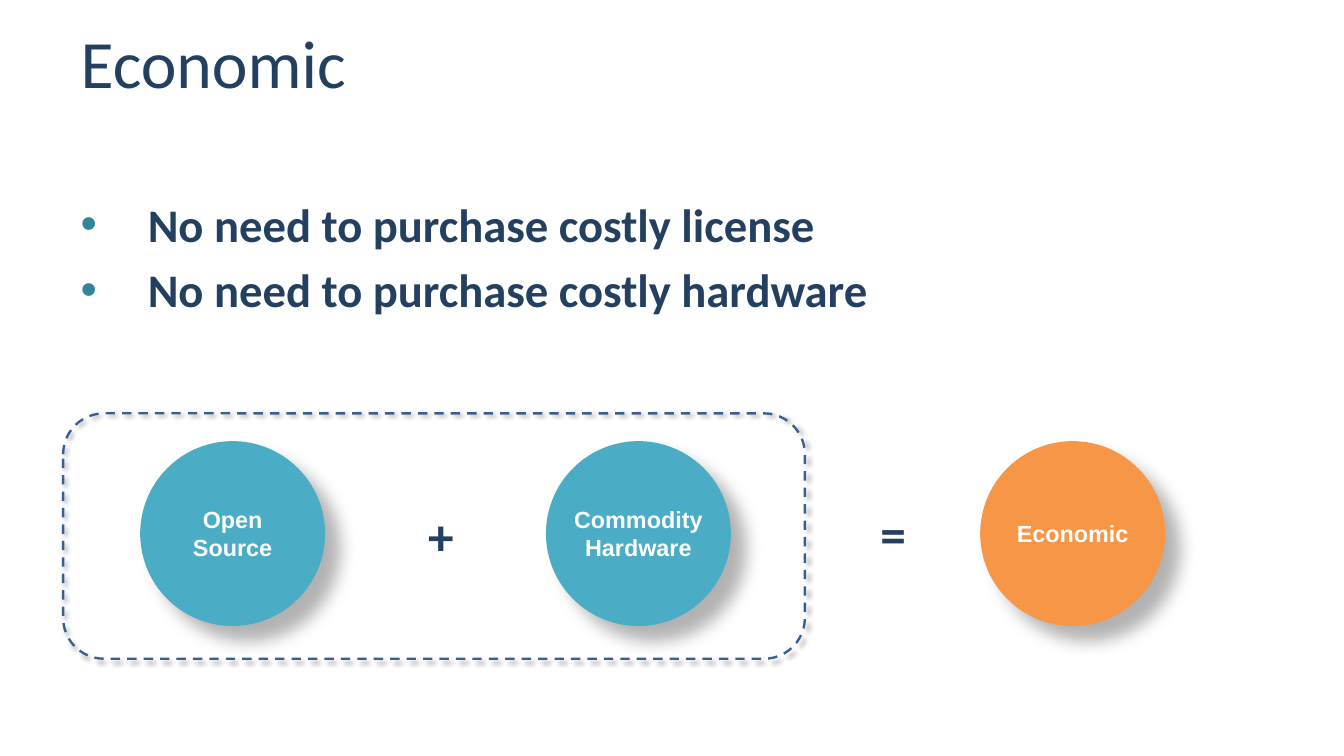
from pptx import Presentation, util as u
from pptx.dml.color import RGBColor
from pptx.enum import dml, shapes, text
from pptx.oxml import parse_xml
from pptx.oxml.ns import nsdecls

NAVY, TEAL, ORANGE = "244061", "4BACC6", "F79646"


def style(item, size, name, color, bold=True):
    font = item.font
    font.size, font.name, font.bold = u.Pt(size), name, bold
    font.color.rgb = RGBColor.from_string(color)


def shade(shape, alpha, blur, dist):
    shape._element.spPr.append(parse_xml(
        f'<a:effectLst {nsdecls("a")}><a:outerShdw blurRad="{u.Pt(blur)}" '
        f'dist="{u.Pt(dist)}" dir="2700000" algn="tl" rotWithShape="0">'
        f'<a:srgbClr val="000000"><a:alpha val="{alpha * 1000}"/></a:srgbClr>'
        '</a:outerShdw></a:effectLst>'))


deck = Presentation()
deck.slide_width, deck.slide_height = u.Cm(40.64), u.Cm(22.86)
slide = deck.slides.add_slide(deck.slide_layouts[5])
parts = slide.shapes

# Dashed frame around the two inputs
frame = parts.add_shape(shapes.MSO_SHAPE.ROUNDED_RECTANGLE,
                        u.Cm(1.91), u.Cm(12.5), u.Cm(22.43), u.Cm(7.42))
frame.fill.background()
frame.line.color.rgb = RGBColor.from_string("366092")
frame.line.width = u.Pt(2)
frame.line.dash_style = dml.MSO_LINE.DASH
shade(frame, 40, 4, 3)

# Title
title = parts.title
title.left, title.top = u.Cm(2.03), u.Cm(0.43)
title.width, title.height = u.Cm(36.58), u.Cm(2.87)
title.text = "Economic"

# Bullet list
body = parts.add_textbox(u.Cm(2.03), u.Cm(5.72), u.Cm(29.08), u.Cm(6.78))
for box in (title, body):
    frm = box.text_frame
    frm.word_wrap = True
    frm.margin_left = frm.margin_right = u.Cm(0.41)
    frm.margin_top = frm.margin_bottom = u.Cm(0.2)
title.text_frame.vertical_anchor = text.MSO_ANCHOR.MIDDLE
head = title.text_frame.paragraphs[0]
head.alignment = text.PP_ALIGN.LEFT
style(head, 58, "Calibri", NAVY, False)

body.text_frame.text = ("No need to purchase costly license\n"
                        "No need to purchase costly hardware")
for i, para in enumerate(body.text_frame.paragraphs):
    style(para, 40, "Calibri", NAVY)
    para.space_before = u.Pt(8 * i)
    props = para._p.get_or_add_pPr()
    props.set("marL", str(u.Cm(2.03)))
    props.set("indent", str(-u.Cm(2.03)))
    for xml in ('<a:buClr {}><a:srgbClr val="31859B"/></a:buClr>',
                '<a:buFont {} typeface="Arial"/>',
                '<a:buChar {} char="•"/>'):
        props.insert_element_before(parse_xml(xml.format(nsdecls("a"))),
                                    "a:tabLst", "a:defRPr", "a:extLst")

# Circles of the equation
for label, left, color in (("Economic", 29.64, ORANGE),
                           ("Open Source", 4.24, TEAL),
                           ("Commodity Hardware", 16.51, TEAL)):
    disc = parts.add_shape(shapes.MSO_SHAPE.OVAL, u.Cm(left), u.Cm(13.34),
                           u.Cm(5.59), u.Cm(5.59))
    disc.fill.solid()
    disc.fill.fore_color.rgb = RGBColor.from_string(color)
    disc.line.fill.background()
    shade(disc, 30, 15, 18)
    frm = disc.text_frame
    frm.word_wrap = True
    frm.margin_left = frm.margin_right = 0
    frm.vertical_anchor = text.MSO_ANCHOR.MIDDLE
    frm.text = label
    frm.paragraphs[0].alignment = text.PP_ALIGN.CENTER
    style(frm.paragraphs[0], 20, "Arial", "FFFFFF")

# Operators between the circles
for sign, left, top in (("=", 26.37, 15.06), ("+", 12.7, 15.11)):
    box = parts.add_textbox(u.Cm(left), u.Cm(top), u.Cm(1.3), u.Cm(2.13))
    frm = box.text_frame
    frm.word_wrap = False
    frm.auto_size = text.MSO_AUTO_SIZE.SHAPE_TO_FIT_TEXT
    frm.text = sign
    style(frm.paragraphs[0], 44, "Calibri", NAVY)

deck.save("out.pptx")
